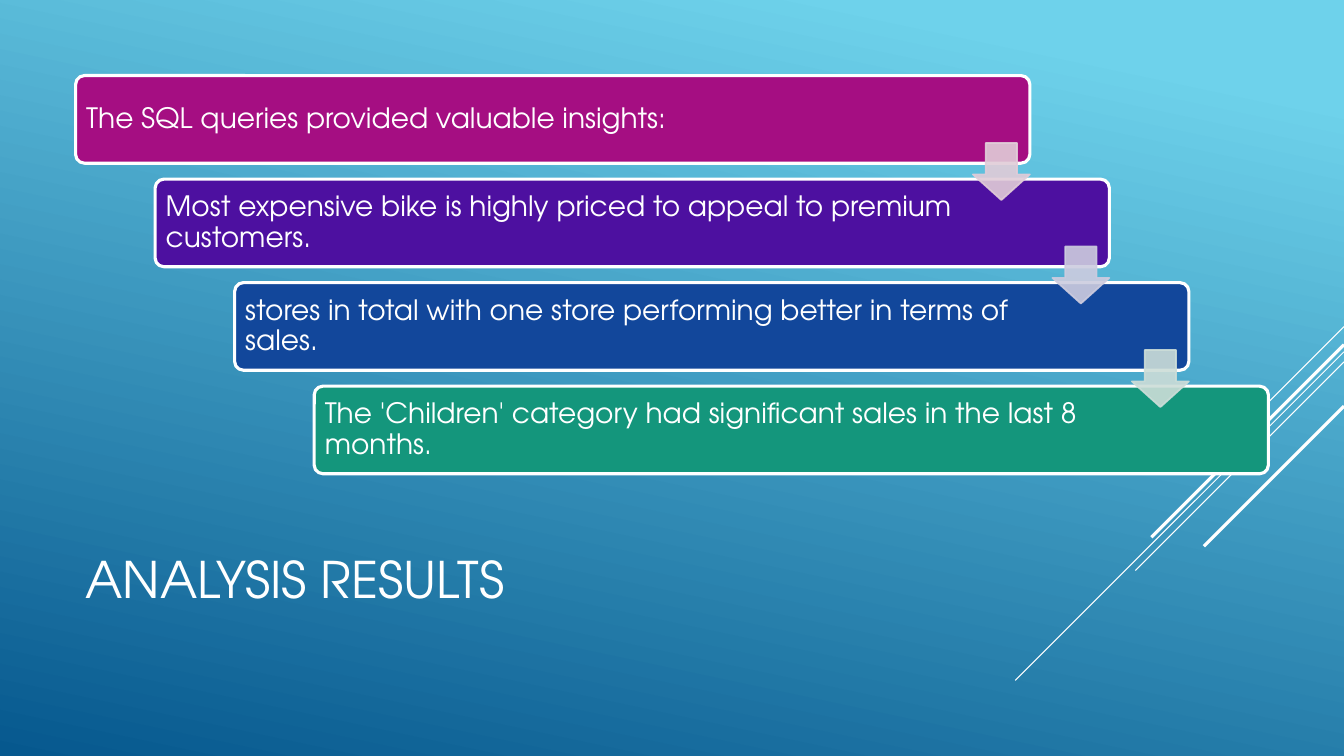
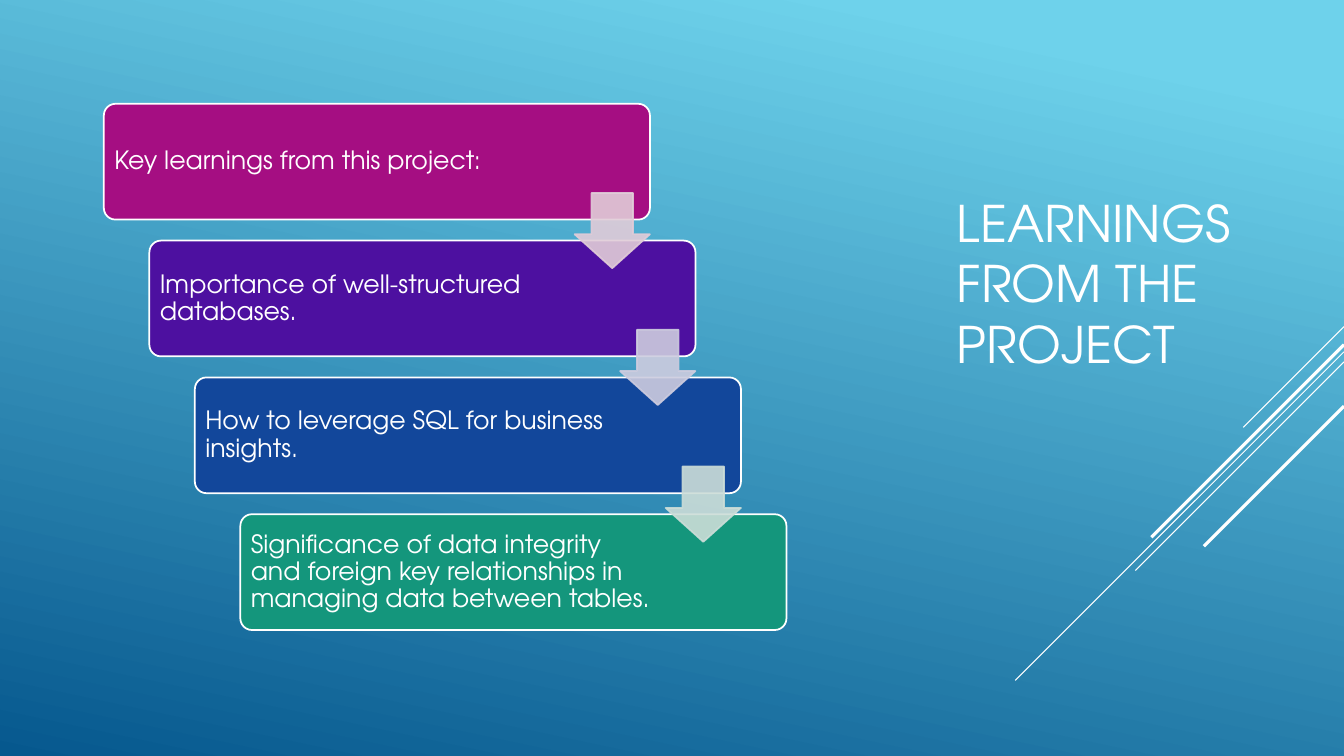
import pptx
import pptx.util
import pptx.dml.color
import pptx.enum.shapes
import pptx.enum.text
import pptx.oxml.ns
import lxml.etree

WIDTH, HEIGHT = 13.33, 7.5
FONT = "TeX Gyre Adventor"
COLORS = {"white": "FFFFFF", "sky": "6ED2EB", "deep": "06588E"}
STEP_COLORS = ["A50E82", "4D10A0", "12479B", "14967C"]
ARROW_COLORS = ["E1CCD8", "CDCCDF", "CCDDD8"]
DIAGONALS = [(3.24, 1, 0.75), (3.49, 3.26, 0.75), (3.59, 2.07, 0.75),
             (3.42, 1.91, 2.25), (4.03, 1.39, 2.25)]
BOX_WIDTH_SHARE, BOX_HEIGHT_SHARE = 0.8, 0.22
ARROW_SHARE, ARROW_DROP = 0.65, 0.77

SLIDES = [
    {
        "title": "ANALYSIS RESULTS",
        "title_area": (0.75, 4.91, 9.33, 1.65),
        "steps_area": (0.75, 0.75, 11.83, 3.95),
        "steps": [
            "The SQL queries provided valuable insights:",
            "Most expensive bike is highly priced to appeal to premium customers.",
            "stores in total with one store performing better in terms of sales.",
            "The 'Children' category had significant sales in the last 8 months.",
        ],
        "size": 20, "outline": 2.25, "inset": 0.08, "right_inset": 1.43,
    },
    {
        "title": "LEARNINGS FROM THE PROJECT",
        "title_area": (9.39, 1.03, 3.33, 3.55),
        "steps_area": (1.03, 1.03, 6.77, 5.22),
        "steps": [
            "Key learnings from this project:",
            "Importance of well-structured databases.",
            "How to leverage SQL for business insights.",
            "Significance of data integrity and foreign key relationships "
            "in managing data between tables.",
        ],
        "size": 18, "outline": 1.25, "inset": 0.07, "right_inset": 1.27,
    },
]


def inches(*lengths):
    return [pptx.util.Inches(length) for length in lengths]


def rgb(value):
    return pptx.dml.color.RGBColor.from_string(value)


def set_all(target, values):
    for name, value in values.items():
        setattr(target, name, value)


def write(frame, text, size, margins, spacing=1.0):
    frame.text = text
    set_all(frame, {
        "word_wrap": True,
        "auto_size": pptx.enum.text.MSO_AUTO_SIZE.NONE,
        "vertical_anchor": pptx.enum.text.MSO_ANCHOR.MIDDLE,
    })
    set_all(frame, dict(zip(
        ("margin_left", "margin_top", "margin_right", "margin_bottom"), inches(*margins))))
    paragraph = frame.paragraphs[0]
    set_all(paragraph, {"alignment": pptx.enum.text.PP_ALIGN.LEFT, "line_spacing": spacing})
    set_all(paragraph.font, {"name": FONT, "size": pptx.util.Pt(size)})
    paragraph.font.color.rgb = rgb(COLORS["white"])


def add_filled(slide, preset, area, adjustments, fill, line, line_width):
    shape = slide.shapes.add_shape(preset, *inches(*area))
    shape.shadow.inherit = False
    for index, value in enumerate(adjustments):
        shape.adjustments[index] = value
    shape.fill.solid()
    shape.fill.fore_color.rgb = rgb(fill)
    shape.line.color.rgb = rgb(line)
    shape.line.width = pptx.util.Pt(line_width)
    return shape


def make_translucent(shape, percent):
    for color in shape.element.spPr.iter(pptx.oxml.ns.qn("a:srgbClr")):
        lxml.etree.SubElement(color, pptx.oxml.ns.qn("a:alpha"), val=str(percent * 1000))


def paint_background(master):
    fill = master.background.fill
    fill.gradient()
    fill.gradient_angle = 360 - 102
    for stop, position, name in zip(fill.gradient_stops, (0.1, 1), ("sky", "deep")):
        stop.position = position
        stop.color.rgb = rgb(COLORS[name])


def add_diagonals(slide):
    for top, run, width in DIAGONALS:
        line = slide.shapes.add_connector(
            pptx.enum.shapes.MSO_CONNECTOR.STRAIGHT,
            *inches(WIDTH, top, WIDTH - run, top + run))
        line.line.color.rgb = rgb(COLORS["white"])
        line.line.width = pptx.util.Pt(width)
        lxml.etree.SubElement(line.element.spPr, pptx.oxml.ns.qn("a:effectLst"))


def add_staircase(slide, content):
    left, top, width, height = content["steps_area"]
    box_width, box_height = width * BOX_WIDTH_SHARE, height * BOX_HEIGHT_SHARE
    gaps = len(content["steps"]) - 1
    across, down = (width - box_width) / gaps, (height - box_height) / gaps
    corners = [(left + i * across, top + i * down) for i in range(gaps + 1)]
    inset = content["inset"]
    for (x, y), text, color in zip(corners, content["steps"], STEP_COLORS):
        box = add_filled(slide, pptx.enum.shapes.MSO_SHAPE.ROUNDED_RECTANGLE,
                         (x, y, box_width, box_height), [0.1],
                         color, COLORS["white"], content["outline"])
        write(box.text_frame, text, content["size"],
              (inset, inset, content["right_inset"], inset), 0.9)
    side = box_height * ARROW_SHARE
    for (x, y), color in zip(corners, ARROW_COLORS):
        arrow = add_filled(slide, pptx.enum.shapes.MSO_SHAPE.DOWN_ARROW,
                           (x + box_width - side, y + box_height * ARROW_DROP, side, side),
                           [0.55, 0.45], color, color, 1.25)
        make_translucent(arrow, 90)


def main():
    deck = pptx.Presentation()
    deck.slide_width, deck.slide_height = inches(WIDTH, HEIGHT)
    paint_background(deck.slide_master)
    title_only = deck.slide_layouts.get_by_name("Title Only")
    for content in SLIDES:
        slide = deck.slides.add_slide(title_only)
        title = slide.shapes.title
        set_all(title, dict(zip(("left", "top", "width", "height"),
                                inches(*content["title_area"]))))
        write(title.text_frame, content["title"], 36, (0.1, 0.05, 0.1, 0.05))
        add_diagonals(slide)
        add_staircase(slide, content)
    deck.save("out.pptx")


if __name__ == "__main__":
    main()
